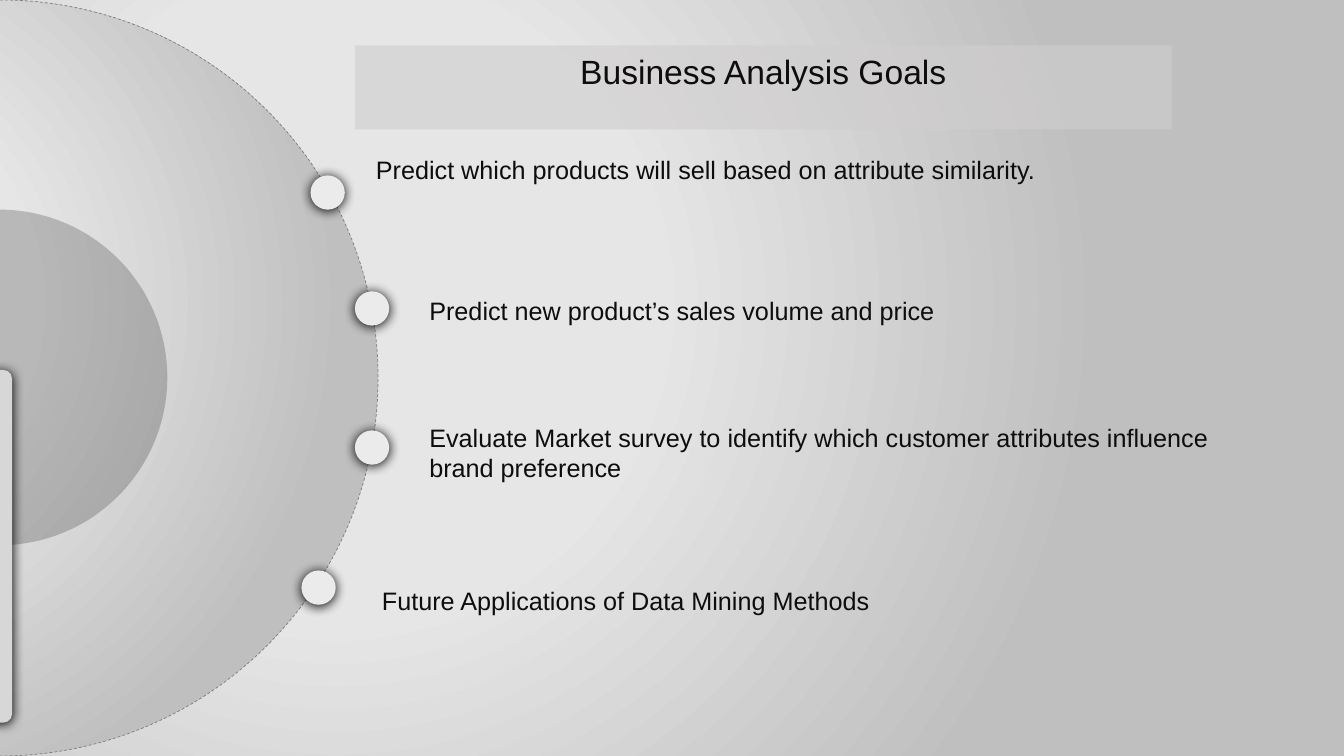
from lxml import etree
from pptx import Presentation
from pptx import util as u
from pptx.dml.color import RGBColor
from pptx.enum import dml, shapes, text
from pptx.oxml.ns import qn

PX = 9144  # 100 px to the inch
MSO = shapes.MSO_SHAPE


def rgb(value):
    return RGBColor.from_string(value)


def px(*lengths):
    return [u.Emu(n * PX) for n in lengths]


def add_xml(parent, tag, **attrs):
    return etree.SubElement(parent, qn(tag), {k: str(v) for k, v in attrs.items()})


class SlideBuilder:
    font = "Arial"
    ink = "0D0D0D"
    gradient = [(0, "E8E7E7"), (41, "E7E6E6"), (100, "C0BFBF")]

    def __init__(self, prs):
        self.slide = prs.slides.add_slide(prs.slide_layouts[5])

    def use_gradient(self, parent):
        """Swap the solid fill in parent for the radial gradient."""
        solid = parent.find(qn("a:solidFill"))
        grad = etree.Element(qn("a:gradFill"), rotWithShape="1")
        stops = add_xml(grad, "a:gsLst")
        for pos, color in self.gradient:
            add_xml(add_xml(stops, "a:gs", pos=pos * 1000), "a:srgbClr", val=color)
        circle = add_xml(grad, "a:path", path="circle")
        add_xml(circle, "a:fillToRect", l=50000, t=80000, r=100000, b=100000)
        parent.replace(solid, grad)

    def background(self):
        self.slide.background.fill.solid()
        self.use_gradient(self.slide.element.find(".//" + qn("p:bgPr")))

    def fill(self, sp, color, alpha=100):
        sp.fill.solid()
        sp.fill.fore_color.rgb = rgb(color)
        if alpha < 100:
            clr = sp.element.spPr.find(qn("a:solidFill"))[0]
            add_xml(clr, "a:alpha", val=alpha * 1000)

    def shape(self, kind, box, color, alpha=100, adj=(), shadow=False):
        sp = self.slide.shapes.add_shape(kind, *px(*box))
        for i, value in enumerate(adj):
            sp.adjustments[i] = value
        self.fill(sp, color, alpha)
        sp.line.fill.background()
        sp.shadow.inherit = False
        if shadow:
            outer = add_xml(sp.element.spPr.find(qn("a:effectLst")), "a:outerShdw",
                            blurRad=u.Pt(8.5), dist=u.Pt(1), dir=90 * 60000,
                            algn="t", rotWithShape=0)
            add_xml(outer, "a:srgbClr", val="000000")
        return sp

    def orbit(self, box, adj):
        sp = self.shape(MSO.ARC, box, "E8E7E7", adj=adj)
        self.use_gradient(sp.element.spPr)
        sp.line.color.rgb = rgb("7D7D7D")
        sp.line.width = u.Pt(0.5)
        sp.line.dash_style = dml.MSO_LINE.DASH

    def add_words(self, p, words, size):
        r = p.add_run()
        r.text = words
        r.font.name, r.font.size = self.font, u.Pt(size)
        r.font.color.rgb = rgb(self.ink)

    def frame(self, sp, anchor):
        """Set up wrapping and growth, and return the first paragraph."""
        tf = sp.text_frame
        tf.word_wrap = True
        tf.auto_size = text.MSO_AUTO_SIZE.SHAPE_TO_FIT_TEXT
        tf.vertical_anchor = anchor
        return tf.paragraphs[0]

    def title(self, words, box):
        sp = self.slide.shapes.title
        sp.left, sp.top, sp.width, sp.height = px(*box)
        self.fill(sp, "D0CECE", 62)
        p = self.frame(sp, text.MSO_ANCHOR.TOP)
        p.alignment = text.PP_ALIGN.CENTER
        self.add_words(p, words, 24)

    def goal(self, words, box, line_spacing=None):
        sp = self.slide.shapes.add_textbox(*px(*box))
        p = self.frame(sp, text.MSO_ANCHOR.MIDDLE)
        if line_spacing:
            p.line_spacing = line_spacing
        else:
            p.space_before = u.Pt(10)
        self.add_words(p, words, 18)


# dot left, dot top, text left, text top, text height, line spacing, words
GOALS = [
    (308, 174, 363, 148, 40, None,
     "Predict which products will sell based on attribute similarity."),
    (352, 289, 416, 288, 40, None,
     "Predict new product’s sales volume and price"),
    (352, 427, 416, 413, 71, None,
     "Evaluate Market survey to identify which customer attributes influence "
     "brand preference"),
    (299, 566, 369, 563, 50, 1.5,
     "Future Applications of Data Mining Methods"),
]


def main():
    prs = Presentation()
    prs.slide_width, prs.slide_height = u.Inches(13.33), u.Inches(7.5)
    s = SlideBuilder(prs)
    s.background()
    s.title("Business Analysis Goals", (352, 45, 810, 50))
    s.orbit((-375, 0, 750, 750), adj=(162, 54.07))
    for dot_x, dot_y, x, y, height, spacing, words in GOALS:
        s.goal(words, (x, y, 800, height), spacing)
        s.shape(MSO.OVAL, (dot_x, dot_y, 34, 34), "EBEBEB", shadow=True)
    s.shape(MSO.ARC, (-167, 208, 333, 333), "000000", alpha=20, adj=(162, 53.6))
    s.shape(MSO.ROUNDED_RECTANGLE, (-13, 367, 25, 350), "D7D7D7", adj=(0.35,),
            shadow=True)
    prs.save("out.pptx")


if __name__ == "__main__":
    main()
